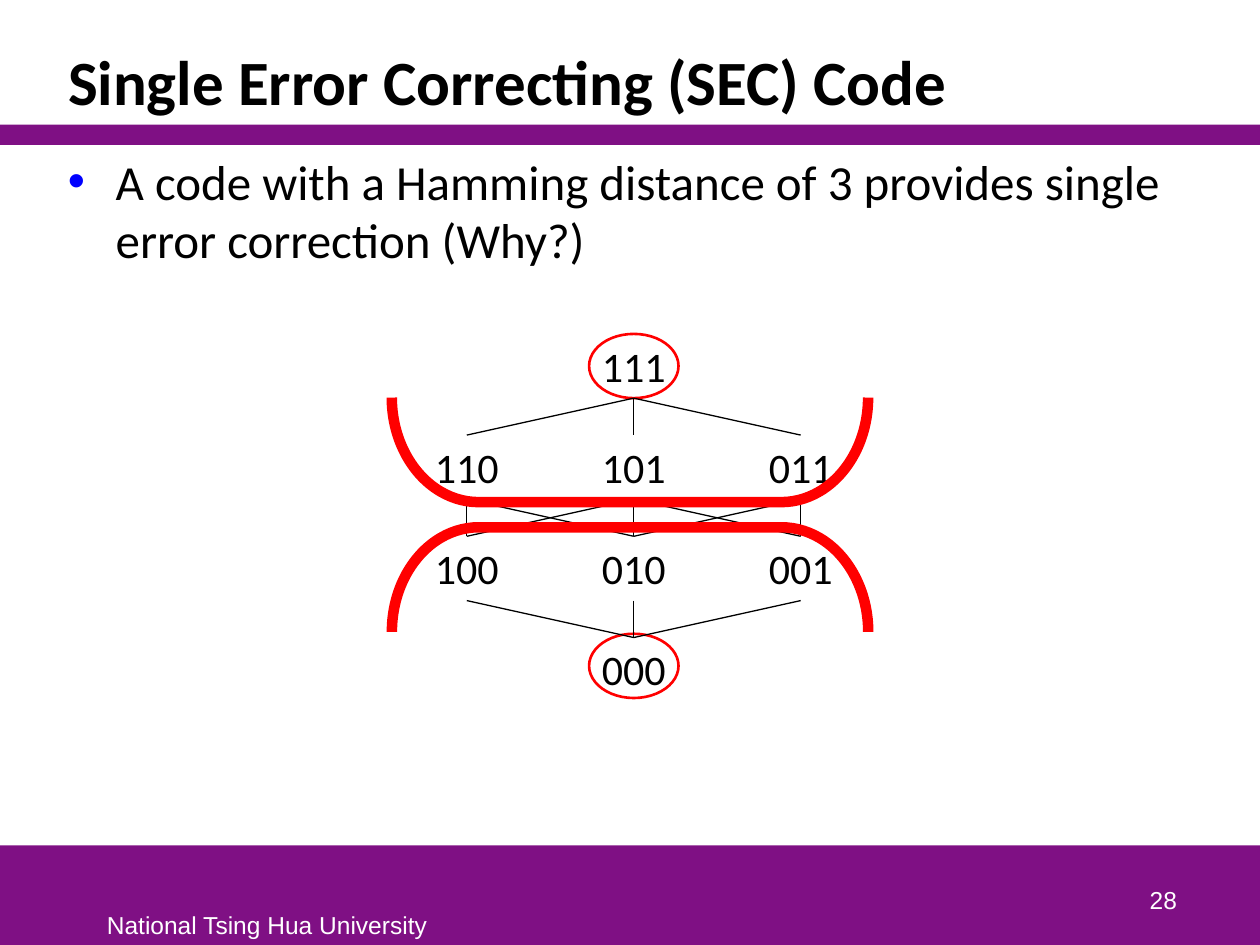
from dataclasses import dataclass

from lxml import etree
from pptx import Presentation
from pptx.dml.color import RGBColor
from pptx.enum.shapes import MSO_CONNECTOR, MSO_SHAPE
from pptx.enum.text import MSO_ANCHOR, MSO_AUTO_SIZE, PP_ALIGN
from pptx.oxml.ns import qn
from pptx.util import Inches, Pt

LEFT, CENTER, RIGHT = PP_ALIGN.LEFT, PP_ALIGN.CENTER, PP_ALIGN.RIGHT
TOP, BOTTOM = MSO_ANCHOR.TOP, MSO_ANCHOR.BOTTOM
RECT, OVAL, BRACKET = MSO_SHAPE.RECTANGLE, MSO_SHAPE.OVAL, MSO_SHAPE.LEFT_BRACKET
STRAIGHT = MSO_CONNECTOR.STRAIGHT
NO_FIT = MSO_AUTO_SIZE.NONE


@dataclass(frozen=True)
class Theme:
    purple: str = "7F1084"
    red: str = "FF0000"
    blue: str = "0000FF"
    black: str = "000000"
    white: str = "FFFFFF"
    main: str = "Calibri"
    small: str = "Arial"
    title_pt: int = 36
    body_pt: int = 28
    code_pt: int = 24
    note_pt: int = 14


T = Theme()
SLIDE_W, SLIDE_H = 10, 7.5
MARGIN = 0.44
CONTENT_W = SLIDE_W - 2 * MARGIN

# Codewords by row; each is placed around the middle column
CODE_ROWS = [["111"], ["110", "101", "011"], ["100", "010", "001"], ["000"]]
CODEWORDS = {"111": 0, "000": -0.03}  # valid words, with the ring's vertical shift


def rgb(value):
    return RGBColor.from_string(value)


def inches(box):
    return [Inches(v) for v in box]


def set_text(sp, text, size, font=T.main, color=T.black, bold=False,
             align=LEFT, anchor=TOP, wrap=True, spacing=None):
    tf = sp.text_frame
    tf.auto_size, tf.word_wrap, tf.vertical_anchor = NO_FIT, wrap, anchor
    p = tf.paragraphs[0]
    p.alignment, p.line_spacing = align, spacing
    r = p.add_run()
    r.text = text
    r.font.name, r.font.size, r.font.bold = font, Pt(size), bold
    r.font.color.rgb = rgb(color)
    return p


def add_text(s, box, text, size, **style):
    sp = s.shapes.add_textbox(*inches(box))
    return sp, set_text(sp, text, size, **style)


def add_shape(s, kind, box, fill=None, line=None, width=1):
    sp = s.shapes.add_shape(kind, *inches(box))
    sp.shadow.inherit = False
    if fill:
        sp.fill.solid()
        sp.fill.fore_color.rgb = rgb(fill)
    else:
        sp.fill.background()
    if line:
        sp.line.color.rgb = rgb(line)
        sp.line.width = Pt(width)
    else:
        sp.line.fill.background()
    return sp


def add_bullet(p, indent, color):
    pPr = p._p.get_or_add_pPr()
    pPr.set("marL", str(Inches(indent)))
    pPr.set("indent", str(-Inches(indent)))
    clr = etree.SubElement(pPr, qn("a:buClr"))
    etree.SubElement(clr, qn("a:srgbClr"), val=color)
    etree.SubElement(pPr, qn("a:buFont"), typeface=T.small)
    etree.SubElement(pPr, qn("a:buChar"), char="•")


def join(s, upper, lower):
    line = s.shapes.add_connector(STRAIGHT, 0, 0, 0, 0)
    line.begin_connect(upper, 2)
    line.end_connect(lower, 0)
    line.line.color.rgb = rgb(T.black)
    line.line.width = Pt(0.75)
    etree.SubElement(line._element.spPr, qn("a:effectLst"))


def header(s, box):
    x, y, w, h = box
    add_shape(s, RECT, (0, y + h, SLIDE_W, 0.16), fill=T.purple)
    title = s.shapes.title
    title.left, title.top, title.width, title.height = inches(box)
    set_text(title, "Single Error Correcting (SEC) Code", T.title_pt,
             bold=True, anchor=BOTTOM, spacing=0.85)


def footer(s, box):
    x, y, w, h = box
    add_shape(s, RECT, box, fill=T.purple)
    style = dict(font=T.small, color=T.white)
    add_text(s, (x + 0.75, y + 0.46, 2.76, 0.33), "National Tsing Hua University",
             T.note_pt, wrap=False, **style)
    add_text(s, (x + w - 2.64, y + 0.1, 2.08, 0.5), "28",
             T.note_pt, align=RIGHT, anchor=BOTTOM, **style)


def body(s, box):
    sp, p = add_text(s, box, "A code with a Hamming distance of 3 provides "
                     "single error correction (Why?)", T.body_pt)
    add_bullet(p, 0.38, T.blue)


def code_diagram(s, box):
    x, y, w, h = box
    word_w, word_h = 0.71, 0.51
    col_step, row_step = (w - word_w) / 2, (h - word_h) / 3

    # Codewords, with a ring around the valid ones
    rows = []
    for i, words in enumerate(CODE_ROWS):
        row = {}
        for j, word in enumerate(words):
            col = j - (len(words) - 1) / 2
            place = (x + w / 2 + col * col_step - word_w / 2,
                     y + i * row_step, word_w, word_h)
            row[col], p = add_text(s, place, word, T.code_pt,
                                   align=CENTER, wrap=False)
            if word in CODEWORDS:
                ring = (place[0], place[1] + CODEWORDS[word], word_w, word_h)
                add_shape(s, OVAL, ring, line=T.red, width=1.5)
        rows.append(row)

    # Links between words at most one column apart
    for upper, lower in zip(rows, rows[1:]):
        for a, top in upper.items():
            for b, bottom in lower.items():
                if abs(a - b) <= 1:
                    join(s, top, bottom)

    # Brackets that enclose each valid word and its neighbours
    depth, span = 0.83, 3.78
    for center_y, turn in ((y + 0.92, 270), (y + 1.95, 90)):
        sp = add_shape(s, BRACKET, (SLIDE_W / 2 - depth / 2, center_y - span / 2,
                                    depth, span), line=T.red, width=6)
        sp.adjustments[0] = 0.83
        sp.rotation = turn


def main():
    prs = Presentation()
    prs.slide_width, prs.slide_height = Inches(SLIDE_W), Inches(SLIDE_H)
    s = prs.slides.add_slide(prs.slide_layouts[5])
    footer(s, (0, 6.71, SLIDE_W, 0.79))
    header(s, (MARGIN, 0.25, CONTENT_W, 0.74))
    body(s, (MARGIN, 1.15, CONTENT_W, 5.53))
    code_diagram(s, (3.35, 2.65, 3.36, 2.92))
    prs.save("out.pptx")


if __name__ == "__main__":
    main()
